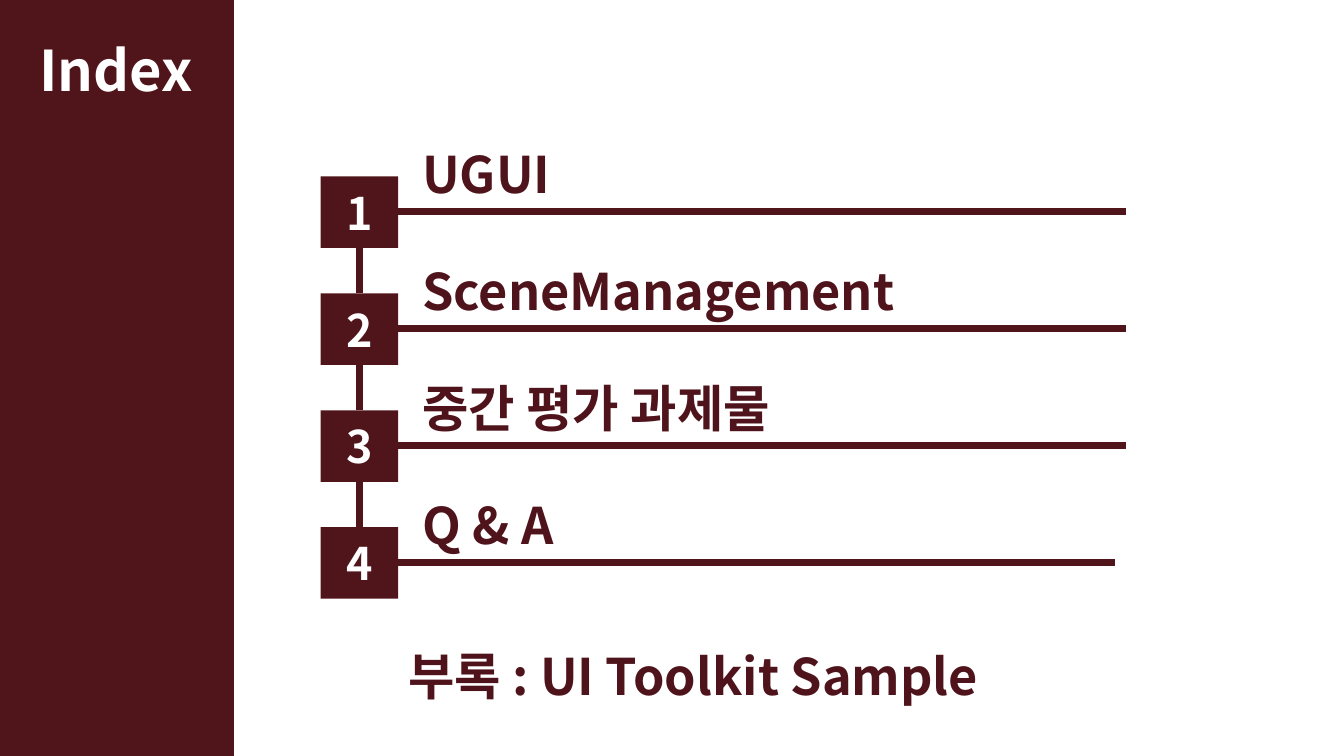
"""Build an index slide with a sidebar and four linked, numbered topics."""
from dataclasses import dataclass

from lxml import etree
from pptx import Presentation, util as u
from pptx.dml import color
from pptx.enum import shapes, text
from pptx.oxml import ns

FONT = "Noto Sans CJK KR"
WINE, INK, WHITE = "50141B", "4F141B", "FFFFFF"
LEFT, TOP, PITCH = 3.18, 1.75, 1.16
WIDE, HIGH = 0.77, 0.71


@dataclass
class Topic:
    name: str
    end: float = 11.17


TOPICS = [
    Topic("UGUI"),
    Topic("SceneManagement"),
    Topic("중간 평가 과제물"),
    Topic("Q & A", 11.06),
]


def tint(code: str) -> color.RGBColor:
    return color.RGBColor.from_string(code)


def write(frame, words: str, size: int, hue: str, align=text.PP_ALIGN.LEFT) -> None:
    frame.text = words
    para = frame.paragraphs[0]
    para.alignment = align
    font = para.font
    font.size, font.bold, font.name = u.Pt(size), True, FONT
    font.color.rgb = tint(hue)
    props = para._p.pPr.find(ns.qn("a:defRPr"))
    etree.SubElement(props, ns.qn("a:ea"), typeface=FONT)


def block(slide, x: float, y: float, w: float, h: float):
    box = slide.shapes.add_shape(
        shapes.MSO_SHAPE.RECTANGLE, *map(u.Inches, (x, y, w, h)))
    box.shadow.inherit = False
    box.fill.solid()
    box.fill.fore_color.rgb = tint(WINE)
    box.line.fill.background()
    return box


def label(slide, words: str, x: float, y: float, w: float) -> None:
    box = slide.shapes.add_textbox(*map(u.Inches, (x, y, w, HIGH)))
    frame = box.text_frame
    frame.word_wrap = True
    frame.auto_size = text.MSO_AUTO_SIZE.SHAPE_TO_FIT_TEXT
    write(frame, words, 36, INK)


def rule(slide, x: float, y: float, to_x: float, to_y: float) -> None:
    line = slide.shapes.add_connector(
        shapes.MSO_CONNECTOR.STRAIGHT, *map(u.Inches, (x, y, to_x, to_y)))
    line.line.color.rgb = tint(WINE)
    line.line.width = u.Pt(5)
    etree.SubElement(line.element.spPr, ns.qn("a:effectLst"))


def head(slide) -> None:
    title = slide.shapes.title
    title.left, title.top, title.width, title.height = map(
        u.Inches, (0.29, 0.3, 1.84, 0.77))
    frame = title.text_frame
    frame.word_wrap = True
    frame.auto_size = text.MSO_AUTO_SIZE.SHAPE_TO_FIT_TEXT
    frame.vertical_anchor = text.MSO_ANCHOR.TOP
    write(frame, "Index", 40, WHITE)
    bar = block(slide, 0, 0, 2.32, 7.5)
    bar.element.addnext(title.element)


def row(slide, rank: int, topic: Topic) -> None:
    y = TOP + rank * PITCH
    rule(slide, LEFT + WIDE, y + 0.35, topic.end, y + 0.35)
    if rank:
        mid = LEFT + WIDE / 2
        rule(slide, mid, y - PITCH + HIGH, mid, y)
    box = block(slide, LEFT, y, WIDE, HIGH)
    box.text_frame.vertical_anchor = text.MSO_ANCHOR.MIDDLE
    write(box.text_frame, str(rank + 1), 32, WHITE, text.PP_ALIGN.CENTER)
    label(slide, topic.name, 4.09, y - 0.38, 7.68)


def main() -> None:
    deck = Presentation()
    deck.slide_width, deck.slide_height = u.Inches(13.33), u.Inches(7.5)
    slide = deck.slides.add_slide(deck.slide_layouts.get_by_name("Title Only"))
    head(slide)
    for rank, topic in enumerate(TOPICS):
        row(slide, rank, topic)
    label(slide, "부록 : UI Toolkit Sample", 3.95, 6.35, 7.36)
    deck.save("out.pptx")


if __name__ == "__main__":
    main()
